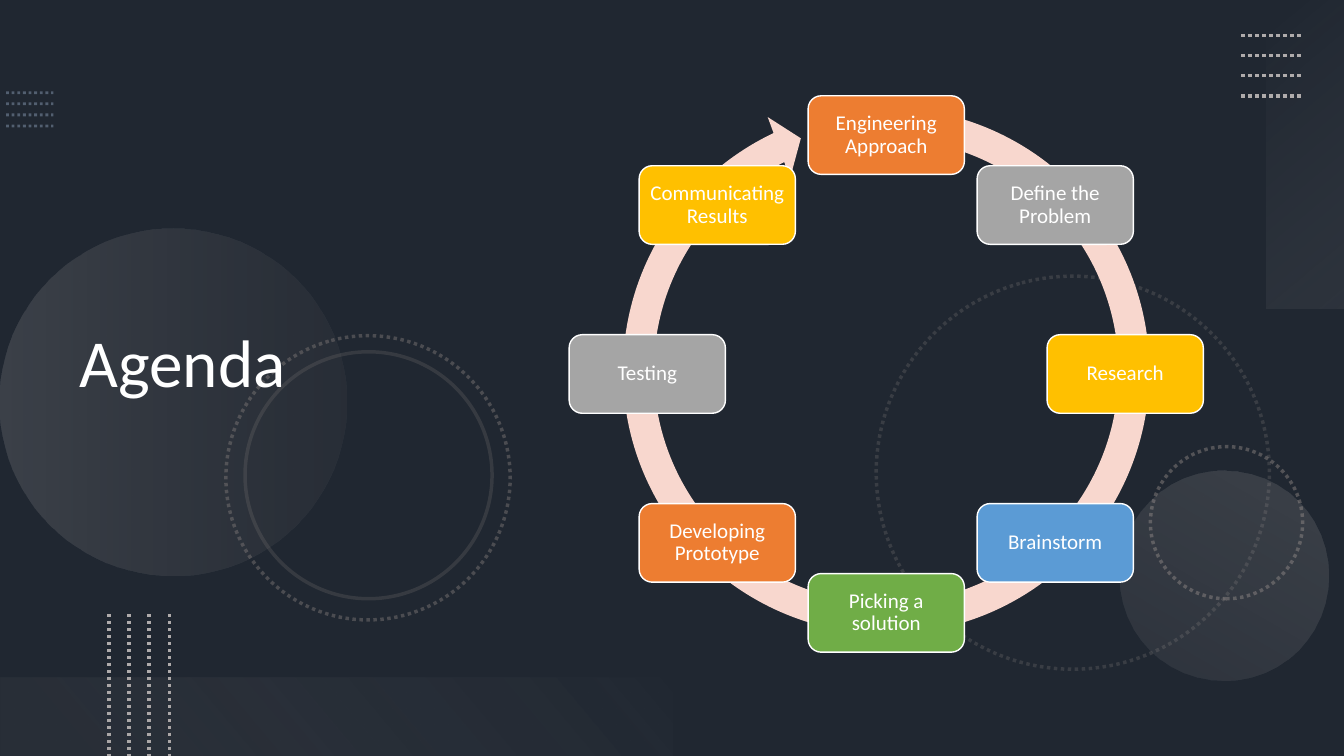
from dataclasses import dataclass
from math import cos, radians, sin

from lxml import etree
from pptx import Presentation
from pptx.dml.color import RGBColor
from pptx.enum.dml import MSO_LINE
from pptx.enum.shapes import MSO_CONNECTOR, MSO_SHAPE
from pptx.enum.text import MSO_ANCHOR, MSO_AUTO_SIZE, PP_ALIGN
from pptx.oxml.ns import qn
from pptx.util import Inches, Pt

RECTANGLE, ROUNDED = MSO_SHAPE.RECTANGLE, MSO_SHAPE.ROUNDED_RECTANGLE
OVAL, CYCLE_ARROW = MSO_SHAPE.OVAL, MSO_SHAPE.CIRCULAR_ARROW
STRAIGHT, DOTS, SOLID = MSO_CONNECTOR.STRAIGHT, MSO_LINE.ROUND_DOT, MSO_LINE.SOLID
LEFT, CENTER, MIDDLE = PP_ALIGN.LEFT, PP_ALIGN.CENTER, MSO_ANCHOR.MIDDLE


@dataclass
class Theme:
    font: str = "Calibri"
    title_size: int = 48
    node_size: int = 15
    white: str = "FFFFFF"
    black: str = "000000"
    base: str = "44546A"
    slate: str = "8497B0"
    gray: str = "767171"
    silver: str = "AFABAB"
    mist: str = "F5F5F5"
    blush: str = "F8D7CE"
    orange: str = "ED7D31"
    steel: str = "A5A5A5"
    gold: str = "FFC000"
    blue: str = "5B9BD5"
    green: str = "70AD47"


theme = Theme()


def set_color(target, color, opacity=100):
    """Colour a solid fill or a gradient stop, with its opacity in percent."""
    if hasattr(target, "solid"):
        target.solid()
        color_format = target.fore_color
    else:
        color_format = target.color
    color_format.rgb = RGBColor.from_string(color)
    if opacity < 100:
        element = color_format._xFill if hasattr(color_format, "_xFill") else target._gs
        node = element.find(qn("a:srgbClr"))
        etree.SubElement(node, qn("a:alpha"), val=str(opacity * 1000))


def write_text(box, text, size, align, inset):
    frame = box.text_frame
    frame.word_wrap = True
    frame.auto_size = MSO_AUTO_SIZE.NONE
    frame.vertical_anchor = MIDDLE
    frame.margin_left = frame.margin_right = Inches(inset)
    frame.margin_top = frame.margin_bottom = Inches(inset)
    para = frame.paragraphs[0]
    para.alignment = align
    para.line_spacing = 0.9
    span = para.add_run()
    span.text = text
    span.font.name = theme.font
    span.font.size = Pt(size)
    span.font.color.rgb = RGBColor.from_string(theme.white)


deck = Presentation()
deck.slide_width, deck.slide_height = Inches(13.33), Inches(7.5)
page = deck.slides.add_slide(deck.slide_layouts[5])
shapes = page.shapes

# Background with a dark veil
set_color(page.background.fill, theme.base)
veil = shapes.add_shape(RECTANGLE, 0, 0, deck.slide_width, deck.slide_height)
veil.shadow.inherit = False
set_color(veil.fill, theme.black, 53)
veil.line.fill.background()

# Dotted line groups: start, length, step between lines, count, direction, line
dot_groups = [
    (0.06, 0.92, 0.47, 0.11, 4, "across", theme.slate, 2, 50),
    (12.31, 0.35, 0.6, 0.2, 4, "across", theme.silver, 2.5, 100),
    (1.08, 6.09, 1.41, 0.2, 4, "down", theme.silver, 2.5, 100),
]
for left, top, length, step, count, direction, color, width, opacity in dot_groups:
    for index in range(count):
        if direction == "across":
            x, y = left, top + index * step
            end_x, end_y = x + length, y
        else:
            x, y = left + index * step, top
            end_x, end_y = x, y + length
        dots = shapes.add_connector(STRAIGHT, Inches(x), Inches(y), Inches(end_x), Inches(end_y))
        dots.line.width = Pt(width)
        dots.line.dash_style = DOTS
        set_color(dots.line.fill, color, opacity)
        etree.SubElement(dots._element.spPr, qn("a:effectLst"))

# Outlined rings: left, top, diameter, rotation, dash, opacity
rings = [
    (8.69, 2.74, 3.9, 75, DOTS, 30),
    (11.41, 4.43, 1.51, 270, DOTS, 60),
    (2.24, 3.33, 2.82, 75, DOTS, 50),
    (2.43, 3.49, 2.45, 75, SOLID, 25),
]
for left, top, diameter, rotation, dash, opacity in rings:
    ring = shapes.add_shape(OVAL, Inches(left), Inches(top), Inches(diameter), Inches(diameter))
    ring.shadow.inherit = False
    ring.rotation = rotation
    ring.fill.background()
    ring.line.width = Pt(2.5)
    ring.line.dash_style = dash
    set_color(ring.line.fill, theme.gray, opacity)

# Faded discs and bands: form, box, rotation, clockwise angle, stops
faded = [
    (OVAL, (0, 2.27, 3.44, 3.44), 270, 90, [(0, theme.silver, 20), (1, theme.gray, 10)]),
    (OVAL, (11.1, 4.67, 2.08, 2.08), 210, 90, [(0, theme.silver, 10), (1, theme.silver, 20)]),
    (RECTANGLE, (11.42, 1.14, 3.06, 0.78), 270, 140, [(0, theme.mist, 0), (1, theme.silver, 10)]),
    (RECTANGLE, (0, 6.72, 6.67, 0.78), 180, 140, [(0.1, theme.gray, 10), (1, theme.mist, 0)]),
]
for form, box, rotation, angle, stops in faded:
    fade = shapes.add_shape(form, *map(Inches, box))
    fade.shadow.inherit = False
    fade.rotation = rotation
    fade.line.fill.background()
    fade.fill.gradient()
    fade.fill.gradient_angle = 360 - angle
    for stop, (position, color, opacity) in zip(fade.fill.gradient_stops, stops):
        stop.position = position
        set_color(stop, color, opacity)

# Title, raised above the decoration
title = shapes.title
title.left, title.top, title.width, title.height = map(Inches, (0.69, 0.54, 4.59, 6.17))
write_text(title, "Agenda", theme.title_size, LEFT, 0.1)
shapes._spTree.append(title._element)

# Cycle arrow
arrow = shapes.add_shape(CYCLE_ARROW, Inches(6.01), Inches(0.9), Inches(5.56), Inches(5.56))
arrow.shadow.inherit = False
for index, value in enumerate((0.055, 3.307, 146.609, 168.676, 0.058)):
    arrow.adjustments[index] = value
set_color(arrow.fill, theme.blush)
arrow.line.fill.background()

# Steps, spaced evenly clockwise from the top
steps = [
    ("Engineering Approach", theme.orange),
    ("Define the Problem", theme.steel),
    ("Research", theme.gold),
    ("Brainstorm", theme.blue),
    ("Picking a solution", theme.green),
    ("Developing Prototype", theme.orange),
    ("Testing", theme.steel),
    ("Communicating Results", theme.gold),
]
center_x, center_y, radius = 8.79, 3.71, 2.37
node_width, node_height = 1.55, 0.78
for index, (label, color) in enumerate(steps):
    turn = radians(index * 360 / len(steps))
    left = center_x + radius * sin(turn) - node_width / 2
    top = center_y - radius * cos(turn) - node_height / 2
    node = shapes.add_shape(ROUNDED, Inches(left), Inches(top), Inches(node_width), Inches(node_height))
    node.shadow.inherit = False
    set_color(node.fill, color)
    set_color(node.line.fill, theme.white)
    node.line.width = Pt(1)
    write_text(node, label, theme.node_size, CENTER, 0.06)

deck.save("out.pptx")
